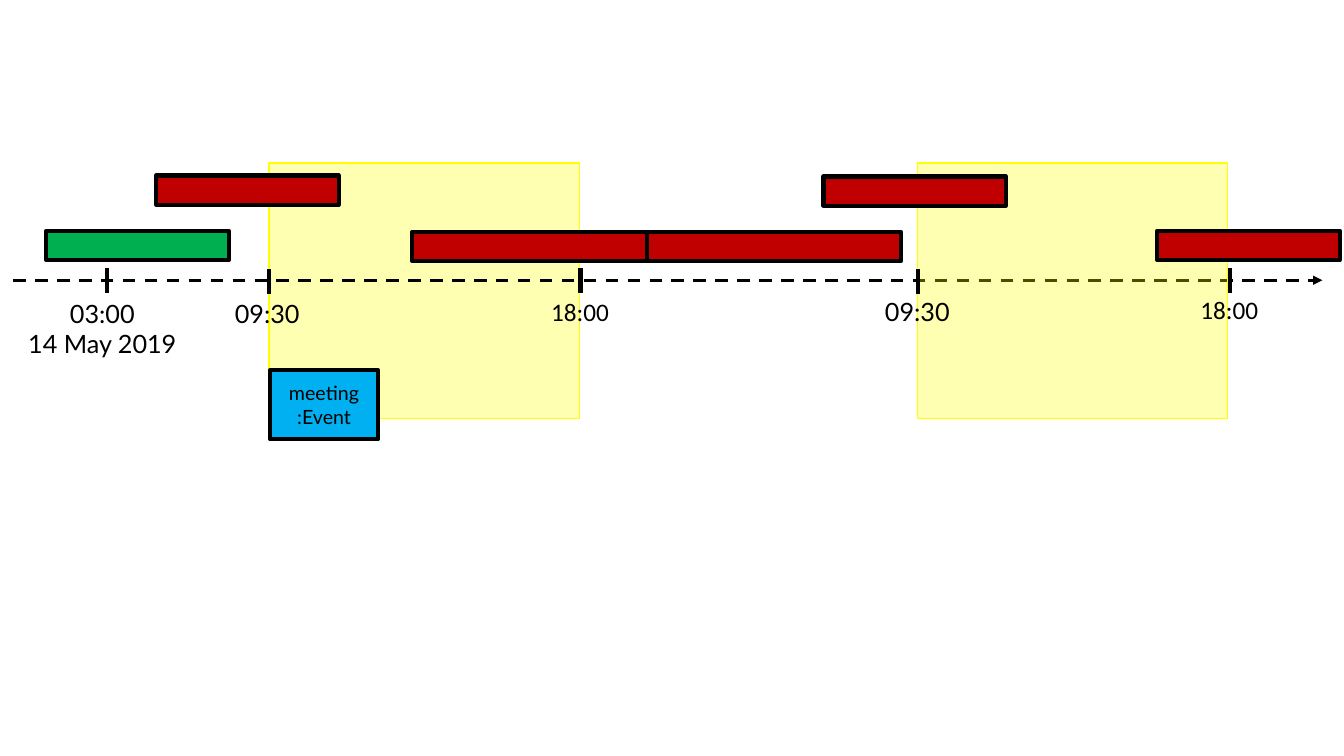
from lxml import etree
from pptx import Presentation
from pptx.dml.color import RGBColor
from pptx.enum.dml import MSO_LINE_DASH_STYLE
from pptx.enum.shapes import MSO_CONNECTOR, MSO_SHAPE
from pptx.enum.text import MSO_ANCHOR, MSO_AUTO_SIZE, PP_ALIGN
from pptx.oxml.ns import qn
from pptx.util import Pt

RECTANGLE = MSO_SHAPE.RECTANGLE
STRAIGHT = MSO_CONNECTOR.STRAIGHT
DASH = MSO_LINE_DASH_STYLE.DASH
MIDDLE = MSO_ANCHOR.MIDDLE
FIT_SHAPE = MSO_AUTO_SIZE.SHAPE_TO_FIT_TEXT
LEFT, CENTER = PP_ALIGN.LEFT, PP_ALIGN.CENTER

COLORS = {
    "black": "000000",
    "office_hours": "FFFF00",
    "free": "00B050",
    "busy": "C00000",
    "event": "00B0F0",
}

ZONE_TOP, ZONE_WIDTH, ZONE_HEIGHT = 116.6, 221.8, 182.2
BAR_WIDTH, BAR_HEIGHT = 130.3, 20.9
TICK_HEIGHT = 18
AXIS_LEFT, AXIS_RIGHT, AXIS_Y = 9.4, 944.6, 200.2

# left, top, width
BUSY_BARS = [
    (111.6, 125.3, BAR_WIDTH),
    (294.5, 165.6, 169.2),
    (588.2, 126, BAR_WIDTH),
    (462.2, 165.6, 181.4),
    (826.6, 164.9, BAR_WIDTH),
]
# x, top
TICKS = [(76.3, 191.5), (192.2, 192.2), (414.7, 191.5),
         (655.9, 192.2), (878.4, 191.5)]
# lines, left, top, width, height, font, alignment
LABELS = [
    (["03:00", "14 May 2019"], 11.5, 209.5, 123.1, 51.1, "Lato", CENTER),
    (["09:30"], 160.6, 209.5, 61.2, 28.8, "Lato", LEFT),
    (["18:00"], 386.6, 208.1, 56.2, 28.8, "Calibri", LEFT),
    (["09:30"], 625, 208.1, 61.2, 28.8, "Lato", LEFT),
    (["18:00"], 850.3, 206.6, 56.2, 28.8, "Calibri", LEFT),
]


def rgb(name):
    return RGBColor.from_string(COLORS[name])


def set_attributes(target, values):
    for name, value in values.items():
        setattr(target, name, value)


def write_lines(text_frame, lines, font, size, alignment):
    for index, line in enumerate(lines):
        paragraph = text_frame.paragraphs[0] if index == 0 else text_frame.add_paragraph()
        paragraph.alignment = alignment
        run = paragraph.add_run()
        run.text = line
        set_attributes(run.font, {"name": font, "size": Pt(size)})
        run.font.color.rgb = rgb("black")


def add_box(slide, left, top, width, height, fill, line="black", line_width=3):
    shape = slide.shapes.add_shape(RECTANGLE, Pt(left), Pt(top), Pt(width), Pt(height))
    shape.shadow.inherit = False
    shape.fill.solid()
    shape.fill.fore_color.rgb = rgb(fill)
    shape.line.color.rgb = rgb(line)
    shape.line.width = Pt(line_width)
    return shape


def add_zone(slide, left):
    zone = add_box(slide, left, ZONE_TOP, ZONE_WIDTH, ZONE_HEIGHT,
                   "office_hours", "office_hours", 1)
    # 30 % opaque fill
    fill_color = zone.element.spPr.find(qn("a:solidFill")).find(qn("a:srgbClr"))
    etree.SubElement(fill_color, qn("a:alpha"), val="30000")


def add_line(slide, start, end, width):
    points = [Pt(value) for value in (*start, *end)]
    connector = slide.shapes.add_connector(STRAIGHT, *points)
    connector.line.color.rgb = rgb("black")
    connector.line.width = Pt(width)
    etree.SubElement(connector.element.spPr, qn("a:effectLst"))
    return connector


def add_axis(slide):
    axis = add_line(slide, (AXIS_LEFT, AXIS_Y), (AXIS_RIGHT, AXIS_Y), 2.25)
    axis.line.dash_style = DASH
    outline = axis.element.spPr.find(qn("a:ln"))
    etree.SubElement(outline, qn("a:tailEnd"), type="triangle")


def add_label(slide, lines, left, top, width, height, font, alignment):
    box = slide.shapes.add_textbox(Pt(left), Pt(top), Pt(width), Pt(height))
    set_attributes(box.text_frame, {"word_wrap": False, "auto_size": FIT_SHAPE})
    write_lines(box.text_frame, lines, font, 18, alignment)


def add_event(slide, lines, left, top, width, height):
    event = add_box(slide, left, top, width, height, "event")
    set_attributes(event.text_frame, {"word_wrap": True, "vertical_anchor": MIDDLE})
    write_lines(event.text_frame, lines, "Lato", 14, CENTER)


def main():
    presentation = Presentation()
    set_attributes(presentation, {"slide_width": Pt(960), "slide_height": Pt(540)})
    slide = presentation.slides.add_slide(presentation.slide_layouts[6])

    # Office hours: the second day lies over the time axis
    add_zone(slide, 192.2)
    add_axis(slide)
    add_zone(slide, 655.2)

    # Free and busy periods
    add_box(slide, 33.1, 164.9, BAR_WIDTH, BAR_HEIGHT, "free")
    for left, top, width in BUSY_BARS:
        add_box(slide, left, top, width, BAR_HEIGHT, "busy")

    # Time marks
    for x, top in TICKS:
        add_line(slide, (x, top), (x, top + TICK_HEIGHT), 3)
    for label in LABELS:
        add_label(slide, *label)

    # Meeting
    add_event(slide, ["meeting", ":Event"], 193, 264.2, 77, 49.7)

    presentation.save("out.pptx")


main()
